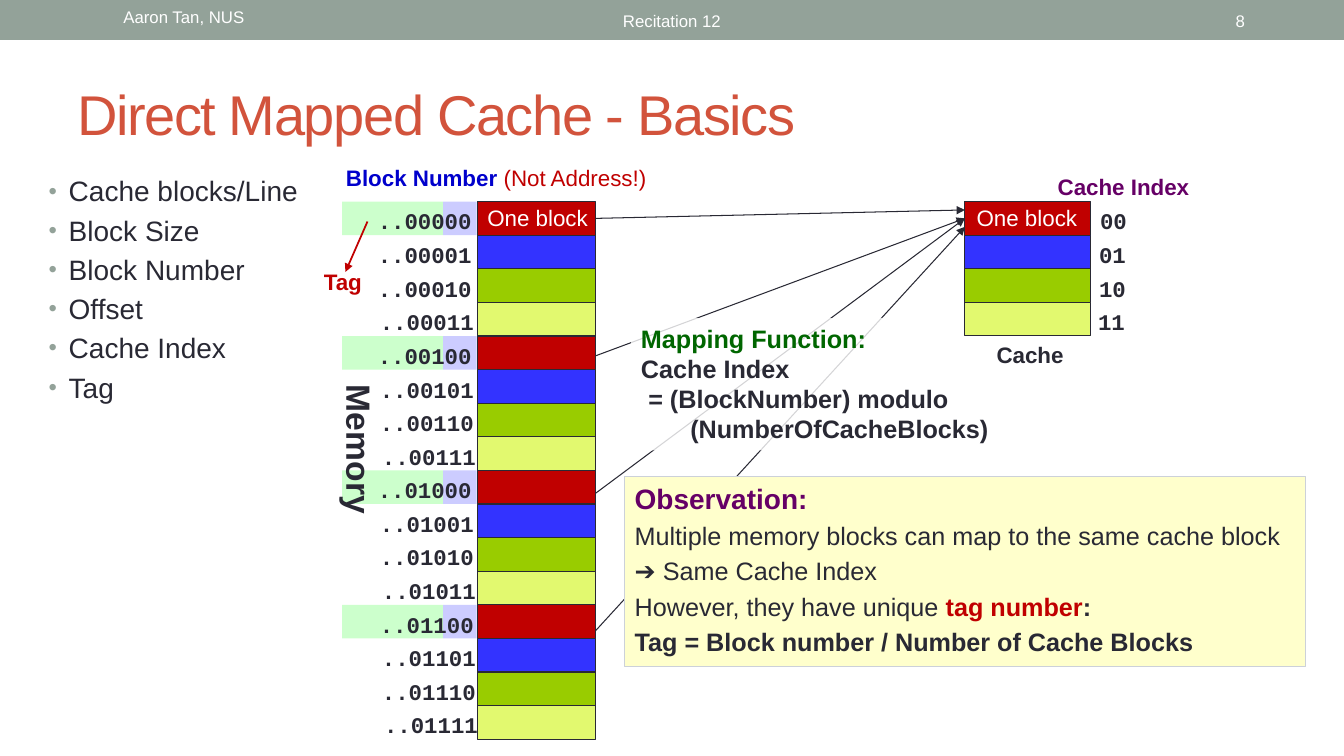
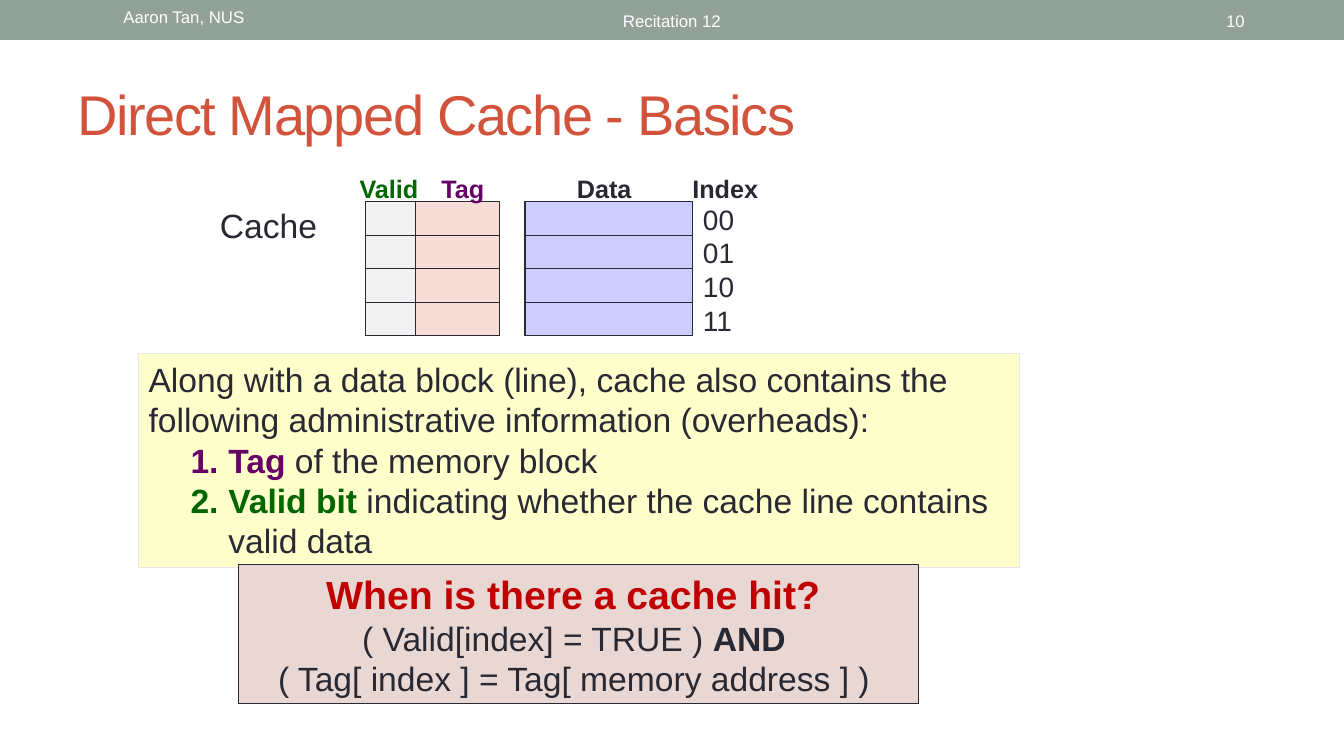
from pptx import Presentation
from pptx.dml.color import RGBColor
from pptx.enum.shapes import MSO_CONNECTOR, MSO_SHAPE
from pptx.enum.text import MSO_ANCHOR, PP_ALIGN
from pptx.oxml.ns import qn
from pptx.util import Pt
from lxml.etree import SubElement

PX = 9525
INK = RGBColor(0x29, 0x29, 0x34)
WHITE = RGBColor(0xFF, 0xFF, 0xFF)
SAGE = RGBColor(0x93, 0xA2, 0x99)
RUST = RGBColor(0xD2, 0x53, 0x3C)
RED = RGBColor(0xC0, 0x00, 0x00)
BLUE = RGBColor(0x33, 0x33, 0xFF)
NAVY = RGBColor(0x00, 0x00, 0xCC)
GREEN = RGBColor(0x99, 0xCC, 0x00)
LIME = RGBColor(0xE2, 0xF9, 0x6F)
DARK = RGBColor(0x00, 0x66, 0x00)
PLUM = RGBColor(0x66, 0x00, 0x66)
MINT = RGBColor(0xCC, 0xFF, 0xCC)
LILAC = RGBColor(0xCC, 0xCC, 0xFF)
CREAM = RGBColor(0xFF, 0xFF, 0xCC)
PINK = RGBColor(0xF6, 0xDD, 0xD8)
ROSE = RGBColor(0xE9, 0xD7, 0xD3)
PALE = RGBColor(0xF2, 0xF2, 0xF2)
EDGE = RGBColor(0xCC, 0xD1, 0xD9)
FAINT = RGBColor(0xE6, 0xE8, 0xEC)

LEFT, MID, RIGHT = PP_ALIGN.LEFT, PP_ALIGN.CENTER, PP_ALIGN.RIGHT
MONO = "Courier New"
TOP, ROW = 192, 32
MEM, CACHE = 455, 919

TITLE = "Direct Mapped Cache - Basics"
TERMS = ["Cache blocks/Line", "Block Size", "Block Number",
         "Offset", "Cache Index", "Tag"]
SHADES = [RED, BLUE, GREEN, LIME]
INDEX = ["00", "01", "10", "11"]
BOLD = {"color": INK, "bold": True}
MAPPING = [
    [("Mapping Function:", {"color": DARK})],
    ["Cache Index"],
    [{"left": 7}, "= (BlockNumber) modulo"],
    [{"left": 47}, "(NumberOfCacheBlocks)"],
]
NOTES = [
    [("Observation:", {"color": PLUM, "bold": True, "size": 20})],
    ["Multiple memory blocks can map to the same cache block"],
    ["➔ Same Cache Index"],
    ["However, they have unique ",
     ("tag number", {"color": RED, "bold": True}), (":", BOLD)],
    [("Tag = Block number / Number of Cache Blocks", BOLD)],
]
STEP = {"left": 76, "hang": 36, "bullet": "number"}
EXTRAS = [
    ["Along with a data block (line), cache also contains the "
     "following administrative information (overheads):"],
    [STEP, ("Tag ", {"color": PLUM, "bold": True}), "of the memory block"],
    [STEP, ("Valid bit ", {"color": DARK, "bold": True}),
     "indicating whether the cache line contains valid data"],
]
HIT = [
    [("When is there a cache hit? ", {"color": RED, "bold": True, "size": 28})],
    ["( Valid[index] = TRUE ) ", ("AND", BOLD), " "],
    ["( Tag[ index ] = Tag[ memory address ] ) "],
]
FIELDS = [(348, 48, PALE), (396, 80, PINK), (500, 160, LILAC)]
HEADS = [("Valid", 333, DARK), ("Tag", 411, PLUM),
         ("Data", 540, INK), ("Index", 650, INK)]


def box(page, area, fill, line=None, alpha=None):
    shape = page.shapes.add_shape(MSO_SHAPE.RECTANGLE, *[n * PX for n in area])
    shape.shadow.inherit = False
    shape.fill.solid()
    shape.fill.fore_color.rgb = fill
    if alpha:
        color = shape.fill._xPr.find(".//" + qn("a:srgbClr"))
        SubElement(color, qn("a:alpha"), val=str(alpha * 1000))
    if line is None:
        shape.line.fill.background()
    else:
        shape.line.color.rgb = line
        shape.line.width = Pt(0.75)
    return shape


def mark(para, left=0, hang=0, bullet=None):
    props = para._p.get_or_add_pPr()
    props.set("marL", str(left * PX))
    props.set("indent", str(-hang * PX))
    if bullet == "number":
        SubElement(props, qn("a:buFont"), typeface="+mj-lt")
        SubElement(props, qn("a:buAutoNum"), type="arabicPeriod")
    elif bullet:
        tint = SubElement(props, qn("a:buClr"))
        SubElement(tint, qn("a:srgbClr"), val=str(SAGE))
        SubElement(props, qn("a:buSzPct"), val="85000")
        SubElement(props, qn("a:buFont"), typeface="Arial")
        SubElement(props, qn("a:buChar"), char=bullet)


def text(page, area, paras, size=16, color=INK, bold=False, font="Arial",
         align=LEFT, anchor=MSO_ANCHOR.TOP, wrap=True, gap=0, track=None,
         turn=0, shape=None):
    if shape is None:
        shape = page.shapes.add_textbox(*[n * PX for n in area])
    shape.rotation = turn
    frame = shape.text_frame
    frame.word_wrap = wrap
    frame.vertical_anchor = anchor
    if isinstance(paras, str):
        paras = [[paras]]
    base = {"size": size, "color": color, "bold": bold}
    for i, parts in enumerate(paras):
        para = frame.add_paragraph() if i else frame.paragraphs[0]
        para.alignment = align
        if i and gap:
            para.space_before = Pt(gap)
        for part in parts:
            if isinstance(part, dict):
                mark(para, **part)
                continue
            words, diff = (part, {}) if isinstance(part, str) else part
            look = {**base, **diff}
            run = para.add_run()
            run.text = words
            run.font.name = font
            run.font.size = Pt(look["size"])
            run.font.bold = look["bold"]
            run.font.color.rgb = look["color"]
            if track:
                run._r.get_or_add_rPr().set("spc", str(track))


def panel(page, area, paras, fill, line=None, alpha=None, **look):
    text(page, area, paras, shape=box(page, area, fill, line, alpha), **look)


def arrow(page, start, end, color=INK, width=0.75):
    link = page.shapes.add_connector(
        MSO_CONNECTOR.STRAIGHT, *[n * PX for n in (*start, *end)])
    link.line.color.rgb = color
    link.line.width = Pt(width)
    SubElement(link.line._get_or_add_ln(), qn("a:tailEnd"), type="triangle")
    SubElement(link._element.spPr, qn("a:effectLst"))


def stack(page, left, width, fills):
    for i, fill in enumerate(fills):
        box(page, (left, TOP + i * ROW, width, ROW), fill, INK)


def start(deck, number):
    page = deck.slides.add_slide(deck.slide_layouts[6])
    box(page, (0, 0, 1280, 38), SAGE)
    text(page, (64, 56, 1152, 104), TITLE, size=40, color=RUST,
         anchor=MSO_ANCHOR.MIDDLE, track=-100)
    small = {"size": 12, "color": WHITE}
    text(page, (108, 2, 304, 35), "Aaron Tan, NUS", **small)
    small["anchor"] = MSO_ANCHOR.MIDDLE
    text(page, (290, 2, 700, 35), "Recitation 12", align=MID, **small)
    text(page, (1104, 2, 91, 35), str(number), align=RIGHT, **small)
    return page


def blocks(deck):
    page = start(deck, 8)
    bullet = {"left": 19, "hang": 19, "bullet": "•"}
    text(page, (37, 161, 284, 240), [[bullet, term] for term in TERMS],
         size=20, gap=4)
    for i, end in enumerate([200, 208, 208, 216]):
        arrow(page, (567, 208 + 131 * i), (CACHE, end))
    panel(page, (601, 303, 381, 126), MAPPING, WHITE, alpha=80,
          size=18, bold=True)
    panel(page, (595, 454, 648, 181), NOTES, CREAM, EDGE, size=18, gap=3.6)

    for i in range(0, 16, 4):
        box(page, (326, TOP + i * ROW, 96, ROW), MINT)
        box(page, (422, TOP + i * ROW, 32, ROW), LILAC)
    text(page, (271, 404, 143, 48), "Memory", size=24, bold=True,
         align=MID, wrap=False, turn=90)
    stack(page, MEM, 112, SHADES * 4)
    stack(page, CACHE, 120, SHADES)
    label = {"bold": True, "align": MID, "wrap": False}
    for i in range(16):
        bits = f"{i:05b}"
        shift = 2 * max(bits.count("1") - 1, 0)
        text(page, (350 + shift, TOP + 1 + i * ROW, 109, 36), ".." + bits,
             font=MONO, **label)
    for i, bits in enumerate(INDEX):
        text(page, (1038 - bits.count("1"), TOP + 1 + i * ROW, 45, 36), bits,
             font=MONO, **label)
    for left in (439, 905):
        text(page, (left, 190, 146, 36), "One block", color=WHITE, align=MID)
    text(page, (320, 152, 330, 36),
         [[("Block Number ", {"color": NAVY, "bold": True}),
           ("(Not Address!)", {"color": RED})]])
    text(page, (997, 160, 146, 36), "Cache Index", color=PLUM, **label)
    text(page, (939, 320, 84, 36), "Cache", **label)
    text(page, (298, 251, 57, 36), "Tag", color=RED, **label)
    arrow(page, (350, 211), (329, 259), RED, 1.25)


def fields(deck):
    page = start(deck, 10)
    for left, width, fill in FIELDS:
        stack(page, left, width, [fill] * 4)
    for name, left, color in HEADS:
        text(page, (left, 160, 100, 36), name, size=18, bold=True, color=color)
    for i, bits in enumerate(INDEX):
        text(page, (660, 188 + i * ROW, 80, 36), bits, size=20)
    text(page, (200, 190, 130, 48), "Cache", size=24)
    panel(page, (132, 337, 839, 204), EXTRAS, CREAM, FAINT, size=24)
    panel(page, (227, 538, 648, 132), HIT, ROSE, INK, size=24, align=MID,
          anchor=MSO_ANCHOR.MIDDLE)


def main():
    deck = Presentation()
    deck.slide_width, deck.slide_height = 1280 * PX, 720 * PX
    blocks(deck)
    fields(deck)
    deck.save("out.pptx")


if __name__ == "__main__":
    main()
